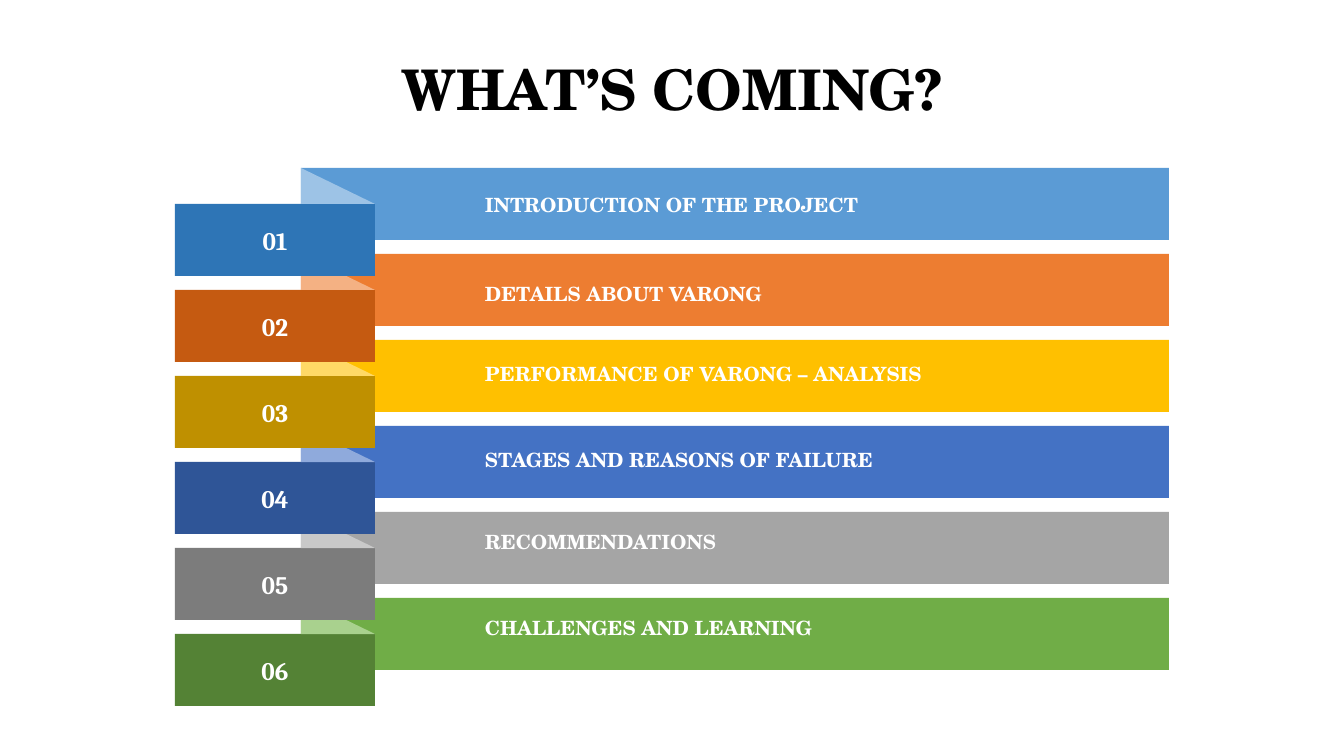
import pptx
import pptx.dml.color
import pptx.enum.shapes
import pptx.enum.text
import pptx.util

SHAPES = pptx.enum.shapes.MSO_SHAPE
ALIGN = pptx.enum.text.PP_ALIGN
ANCHOR = pptx.enum.text.MSO_ANCHOR
EMU_PER_PX = 914400 / 100.8
WIDTH, HEIGHT = 1344, 756

ROW_TOP, ROW_PITCH, ROW_HEIGHT = 168, 86, 72
BAR_LEFT, BAR_WIDTH = 301, 868
TAB_LEFT, TAB_WIDTH = 175, 200
TAB_DROP = ROW_HEIGHT // 2
FOLD_WIDTH = TAB_LEFT + TAB_WIDTH - BAR_LEFT
LABEL_LEFT, LABEL_WIDTH, LABEL_HEIGHT = 485, 613, 24

# label, label offset from the bar's top, bar, tab and fold colours
AGENDA = [
    ("INTRODUCTION OF THE PROJECT", 25, "5B9BD5", "2E75B6", "9DC3E6"),
    ("DETAILS ABOUT VARONG", 28, "ED7D31", "C55A11", "F4B183"),
    ("PERFORMANCE OF VARONG – ANALYSIS", 22, "FFC000", "BF9000", "FFD966"),
    ("STAGES AND REASONS OF FAILURE", 22, "4472C4", "2F5597", "8FAADC"),
    ("RECOMMENDATIONS", 18, "A5A5A5", "7C7C7C", "C9C9C9"),
    ("CHALLENGES AND LEARNING", 18, "70AD47", "548235", "A9D18E"),
]


def px(length):
    return pptx.util.Emu(round(length * EMU_PER_PX))


def color(hex_string):
    return pptx.dml.color.RGBColor.from_string(hex_string)


class SlideBuilder:
    heading_font = "TeX Gyre Schola"
    number_font = "Cambria"
    light, dark = "FFFFFF", "000000"

    def __init__(self, slide):
        self.slide = slide

    def set_text(self, shape, text, font_name, size, text_color, align):
        """Put one bold paragraph in the shape and return it."""
        paragraph = shape.text_frame.paragraphs[0]
        paragraph.text = text
        paragraph.alignment = align
        paragraph.font.name = font_name
        paragraph.font.size = pptx.util.Pt(size)
        paragraph.font.bold = True
        paragraph.font.color.rgb = color(text_color)
        return paragraph

    def title(self, text, left, top, width, height):
        shape = self.slide.shapes.title
        shape.left, shape.top = px(left), px(top)
        shape.width, shape.height = px(width), px(height)
        shape.text_frame.vertical_anchor = ANCHOR.MIDDLE
        self.set_text(shape, text, self.heading_font, 40, self.dark, ALIGN.CENTER)

    def block(self, kind, left, top, width, height, fill):
        shape = self.slide.shapes.add_shape(
            kind, px(left), px(top), px(width), px(height))
        shape.shadow.inherit = False
        shape.fill.solid()
        shape.fill.fore_color.rgb = color(fill)
        shape.line.fill.background()
        return shape

    def number_tab(self, number, left, top, width, height, fill):
        tab = self.block(SHAPES.RECTANGLE, left, top, width, height, fill)
        tab.text_frame.vertical_anchor = ANCHOR.MIDDLE
        self.set_text(tab, f"{number:02}", self.number_font, 18, self.light, ALIGN.CENTER)

    def label(self, text, left, top, width, height):
        box = self.slide.shapes.add_textbox(px(left), px(top), px(width), px(height))
        frame = box.text_frame
        frame.word_wrap = True
        frame.auto_size = pptx.enum.text.MSO_AUTO_SIZE.SHAPE_TO_FIT_TEXT
        frame.margin_left = frame.margin_right = 0
        frame.margin_top = frame.margin_bottom = 0
        paragraph = self.set_text(box, text, self.heading_font, 14, self.light, ALIGN.LEFT)
        paragraph.space_before = pptx.util.Pt(6)

    def agenda_row(self, number, text, label_drop, bar_fill, tab_fill, fold_fill):
        top = ROW_TOP + (number - 1) * ROW_PITCH
        self.block(SHAPES.RECTANGLE, BAR_LEFT, top, BAR_WIDTH, ROW_HEIGHT, bar_fill)
        self.number_tab(number, TAB_LEFT, top + TAB_DROP, TAB_WIDTH, ROW_HEIGHT, tab_fill)
        self.block(SHAPES.RIGHT_TRIANGLE, BAR_LEFT, top, FOLD_WIDTH, TAB_DROP, fold_fill)
        self.label(text, LABEL_LEFT, top + label_drop, LABEL_WIDTH, LABEL_HEIGHT)


def main():
    presentation = pptx.Presentation()
    presentation.slide_width, presentation.slide_height = px(WIDTH), px(HEIGHT)
    title_only = presentation.slide_layouts[5]
    builder = SlideBuilder(presentation.slides.add_slide(title_only))
    builder.title("WHAT’S COMING?", 0, 49, WIDTH, 78)
    # Bottom row first, so that each tab overlaps the row below it
    for number, row in reversed(list(enumerate(AGENDA, start=1))):
        builder.agenda_row(number, *row)
    presentation.save("out.pptx")


if __name__ == "__main__":
    main()
